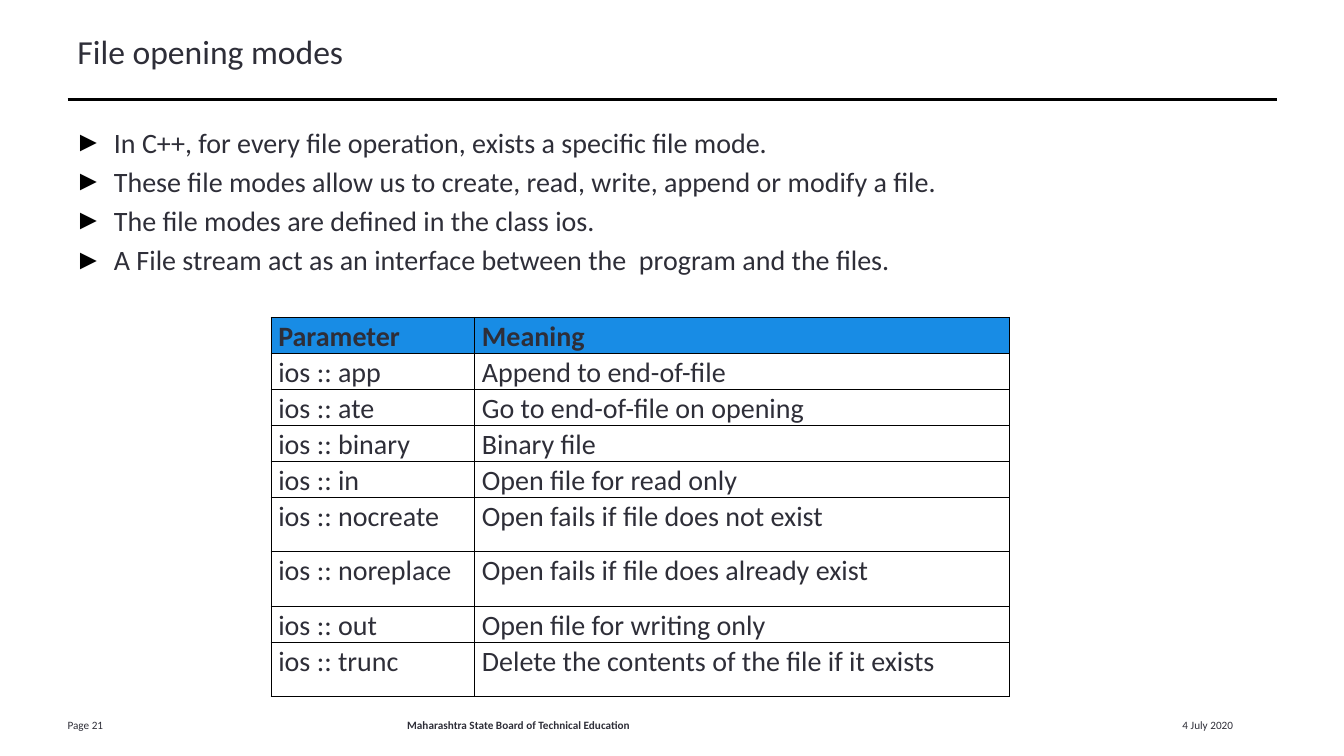
from lxml import etree
from pptx import Presentation
from pptx import util as u
from pptx.dml.color import RGBColor
from pptx.enum import shapes, text
from pptx.oxml import ns

INK = "2E2E38"
BLACK = "000000"
BLUE = "188CE5"
POINTS = [
    "In C++, for every file operation, exists a specific file mode.",
    "These file modes allow us to create, read, write, append or modify a file.",
    "The file modes are defined in the class ios.",
    "A File stream act as an interface between the  program and the files.",
]
MODES = [
    ("Parameter", "Meaning", 0.34),
    ("ios :: app", "Append to end-of-file", 0.34),
    ("ios :: ate", "Go to end-of-file on opening", 0.34),
    ("ios :: binary", "Binary file", 0.34),
    ("ios :: in", "Open file for read only", 0.34),
    ("ios :: nocreate", "Open fails if file does not exist", 0.54),
    ("ios :: noreplace", "Open fails if file does already exist", 0.54),
    ("ios :: out", "Open file for writing only", 0.34),
    ("ios :: trunc", "Delete the contents of the file if it exists", 0.54),
]


def color(code):
    return RGBColor.from_string(code)


def node(parent, tag, **attrs):
    return etree.SubElement(parent, ns.qn(tag), attrs)


def style(para, size, bold=False):
    for run in para.runs:
        run.font.name = "Calibri"
        run.font.size = u.Pt(size)
        run.font.bold = bold
        run.font.color.rgb = color(INK)


def add_text(slide, box, lines, size, bold=False, inset=(0.1, 0.05)):
    frame = slide.shapes.add_textbox(*map(u.Inches, box)).text_frame
    frame.word_wrap = True
    frame.margin_left, frame.margin_top = map(u.Inches, inset)
    frame.margin_right, frame.margin_bottom = map(u.Inches, inset)
    frame.text = "\n".join(lines)
    for para in frame.paragraphs:
        style(para, size, bold)
    return frame


def add_list(slide):
    frame = add_text(slide, (0.74, 1.24, 12, 5.89), POINTS, 20, inset=(0, 0))
    for index, para in enumerate(frame.paragraphs):
        para.space_before = u.Pt(4 if index else 0)
        props = para._p.get_or_add_pPr()
        indent = u.Inches(0.39)
        props.set("marL", str(indent))
        props.set("indent", str(-indent))
        node(node(props, "a:buClr"), "a:srgbClr", val=BLACK)
        node(props, "a:buFont", typeface="Arial")
        node(props, "a:buChar", char="►")


def add_rule(slide):
    ends = map(u.Inches, (0.67, 0.99, 12.67, 0.99))
    rule = slide.shapes.add_connector(shapes.MSO_CONNECTOR.STRAIGHT, *ends)
    rule.line.color.rgb = color(BLACK)
    rule.line.width = u.Pt(2.25)
    node(rule._element.spPr, "a:effectLst")


def border(cell):
    props = cell._tc.get_or_add_tcPr()
    for side in "LRTB":
        line = node(props, f"a:ln{side}", w=str(u.Pt(1)))
        node(node(line, "a:solidFill"), "a:srgbClr", val=BLACK)


def set_cell(cell, words, head):
    cell.margin_left = cell.margin_right = u.Inches(0.07)
    cell.margin_top = cell.margin_bottom = 0
    cell.text_frame.text = words
    para = cell.text_frame.paragraphs[0]
    para.line_spacing = 1.07
    style(para, 20, head)
    border(cell)
    if head:
        cell.fill.solid()
        cell.fill.fore_color.rgb = color(BLUE)
    else:
        cell.fill.background()


def add_modes(slide):
    widths = (2.02, 5.3)
    height = sum(row[-1] for row in MODES)
    box = map(u.Inches, (2.69, 3.15, sum(widths), height))
    table = slide.shapes.add_table(len(MODES), len(widths), *box).table
    table.horz_banding = False
    for col, width in zip(table.columns, widths):
        col.width = u.Inches(width)
    for index, (*words, tall) in enumerate(MODES):
        table.rows[index].height = u.Inches(tall)
        for cell, word in zip(table.rows[index].cells, words):
            set_cell(cell, word, index == 0)


def add_footer(slide):
    add_text(slide, (11.63, 7.08, 1.3, 0.2), ["4 July 2020"], 8)
    board = add_text(slide, (3.46, 7.08, 3.37, 0.2),
                     ["Maharashtra State Board of Technical Education"], 8, True)
    board.paragraphs[0].alignment = text.PP_ALIGN.CENTER
    add_text(slide, (0.67, 7.08, 0.73, 0.2), ["Page 21"], 8, inset=(0, 0.05))


def main():
    deck = Presentation()
    deck.slide_width = u.Inches(13.33)
    deck.slide_height = u.Inches(7.5)
    slide = deck.slides.add_slide(deck.slide_layouts[6])
    add_footer(slide)
    add_rule(slide)
    title = add_text(slide, (0.67, 0.32, 12, 0.65), ["File opening modes"], 24)
    title.paragraphs[0].line_spacing = 0.85
    add_list(slide)
    add_modes(slide)
    deck.save("out.pptx")


if __name__ == "__main__":
    main()
